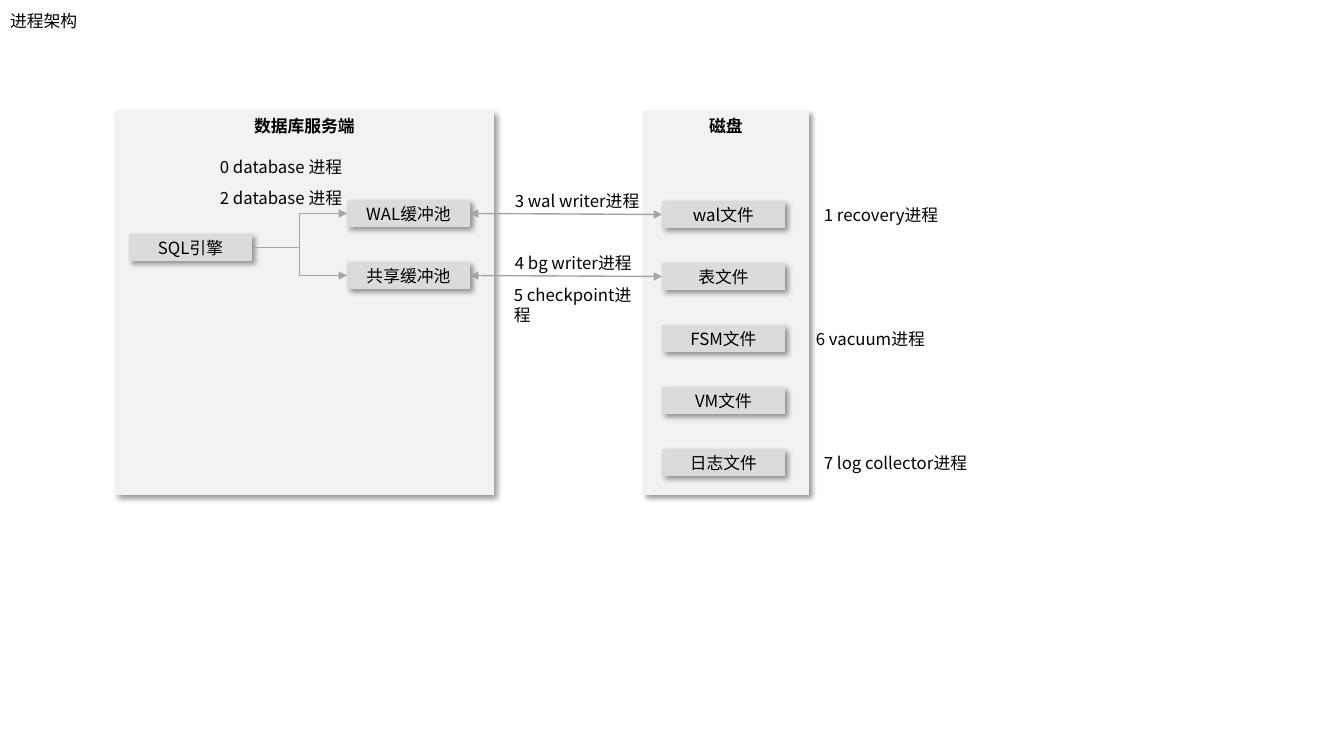
from lxml import etree
from pptx import Presentation
from pptx.dml.color import RGBColor
from pptx.enum.shapes import MSO_CONNECTOR, MSO_SHAPE
from pptx.enum.text import MSO_ANCHOR, MSO_AUTO_SIZE, PP_ALIGN
from pptx.oxml.ns import qn
from pptx.util import Emu, Pt

RECTANGLE = MSO_SHAPE.RECTANGLE
STRAIGHT, ELBOW = MSO_CONNECTOR.STRAIGHT, MSO_CONNECTOR.ELBOW
TOP, MIDDLE = MSO_ANCHOR.TOP, MSO_ANCHOR.MIDDLE
LEFT, CENTER = PP_ALIGN.LEFT, PP_ALIGN.CENTER
GROW = MSO_AUTO_SIZE.SHAPE_TO_FIT_TEXT
LEFT_SITE, RIGHT_SITE = 1, 3

FONT, SIZE = "Noto Sans CJK SC", 12
TEXT, PANEL, BOX, ARROW = "000000", "F2F2F2", "DBDBDB", "A5A5A5"
PIXEL = 914400 / 100.8

TITLE = "进程架构"
TITLE_PLACE = (0, 6, 147, 30)
PANEL_TOP, PANEL_HEIGHT = 111, 384
PANELS = [("磁盘", 643, 166), ("数据库服务端", 115, 379)]  # text, left, width

BOX_WIDTH, BOX_HEIGHT, ROW_PITCH = 123, 27, 62
COLUMNS = [  # left, top of the first box, texts downwards
    (129, 234, ["SQL引擎"]),
    (347, 200, ["WAL缓冲池", "共享缓冲池"]),
    (662, 201, ["wal文件", "表文件", "FSM文件", "VM文件", "日志文件"]),
]
ARROWS = [  # from, to, kind, both ends
    ("WAL缓冲池", "wal文件", STRAIGHT, True),
    ("共享缓冲池", "表文件", STRAIGHT, True),
    ("SQL引擎", "WAL缓冲池", ELBOW, False),
    ("SQL引擎", "共享缓冲池", ELBOW, False),
]
LABEL_HEIGHT = 30
LABELS = [  # text, left, top, width
    ("0 database 进程", 210, 152, 147),
    ("2 database 进程", 210, 183, 147),
    ("3 wal writer进程", 505, 186, 147),
    ("4 bg writer进程", 505, 248, 147),
    ("5 checkpoint进程", 504, 280, 147),
    ("1 recovery进程", 814, 200, 136),
    ("6 vacuum进程", 806, 324, 136),
    ("7 log collector进程", 814, 448, 166),
]


def pixels(*lengths):
    """Turn pixel lengths into EMU."""
    return [Emu(round(length * PIXEL)) for length in lengths]


def color(value):
    """Turn a hex string into a colour."""
    return RGBColor.from_string(value)


def write(shape, text, align=LEFT, anchor=TOP, bold=False):
    """Put one formatted paragraph into a shape."""
    frame = shape.text_frame
    frame.text = text
    frame.word_wrap = True
    frame.vertical_anchor = anchor
    paragraph = frame.paragraphs[0]
    paragraph.alignment = align
    for run in paragraph.runs:
        run.font.name, run.font.size, run.font.bold = FONT, Pt(SIZE), bold
        run.font.color.rgb = color(TEXT)
        east_asian = etree.SubElement(run.font._element, qn("a:ea"))
        east_asian.set("typeface", FONT)


def add_block(slide, place, fill, text, anchor, bold=False):
    """Add a borderless rectangle with a soft shadow and centred text."""
    shape = slide.shapes.add_shape(RECTANGLE, *pixels(*place))
    shape.fill.solid()
    shape.fill.fore_color.rgb = color(fill)
    shape.line.fill.background()
    shape.shadow.inherit = False
    effects = shape._element.spPr.find(qn("a:effectLst"))
    shadow = etree.SubElement(effects, qn("a:outerShdw"), blurRad=str(Pt(4)),
                              dist=str(Pt(3)), dir="2700000", algn="tl", rotWithShape="0")
    black = etree.SubElement(shadow, qn("a:srgbClr"), val="000000")
    etree.SubElement(black, qn("a:alpha"), val="40000")
    write(shape, text, CENTER, anchor, bold)
    return shape


def add_arrow(slide, start, end, kind, both_ends):
    """Join the right side of one box to the left side of another."""
    connector = slide.shapes.add_connector(kind, 0, 0, 0, 0)
    connector.begin_connect(start, RIGHT_SITE)
    connector.end_connect(end, LEFT_SITE)
    connector.line.color.rgb = color(ARROW)
    connector.line.width = Pt(1)
    properties = connector._element.spPr
    line = properties.find(qn("a:ln"))
    for tag in ["a:headEnd", "a:tailEnd"] if both_ends else ["a:tailEnd"]:
        etree.SubElement(line, qn(tag), type="triangle")
    etree.SubElement(properties, qn("a:effectLst"))


def add_label(slide, text, left, top, width):
    """Add a process label that grows with its text."""
    label = slide.shapes.add_textbox(*pixels(left, top, width, LABEL_HEIGHT))
    write(label, text)
    label.text_frame.auto_size = GROW


presentation = Presentation()
presentation.slide_width, presentation.slide_height = pixels(1344, 756)
slide = presentation.slides.add_slide(presentation.slide_layouts[5])

title = slide.shapes.title
title.left, title.top, title.width, title.height = pixels(*TITLE_PLACE)
write(title, TITLE)
title.text_frame.auto_size = GROW

for text, left, width in PANELS:
    add_block(slide, (left, PANEL_TOP, width, PANEL_HEIGHT), PANEL, text, TOP, bold=True)

boxes = {}
for left, first_top, texts in COLUMNS:
    for row, text in enumerate(texts):
        place = (left, first_top + row * ROW_PITCH, BOX_WIDTH, BOX_HEIGHT)
        boxes[text] = add_block(slide, place, BOX, text, MIDDLE)

for start, end, kind, both_ends in ARROWS:
    add_arrow(slide, boxes[start], boxes[end], kind, both_ends)

for label in LABELS:
    add_label(slide, *label)

presentation.save("out.pptx")
